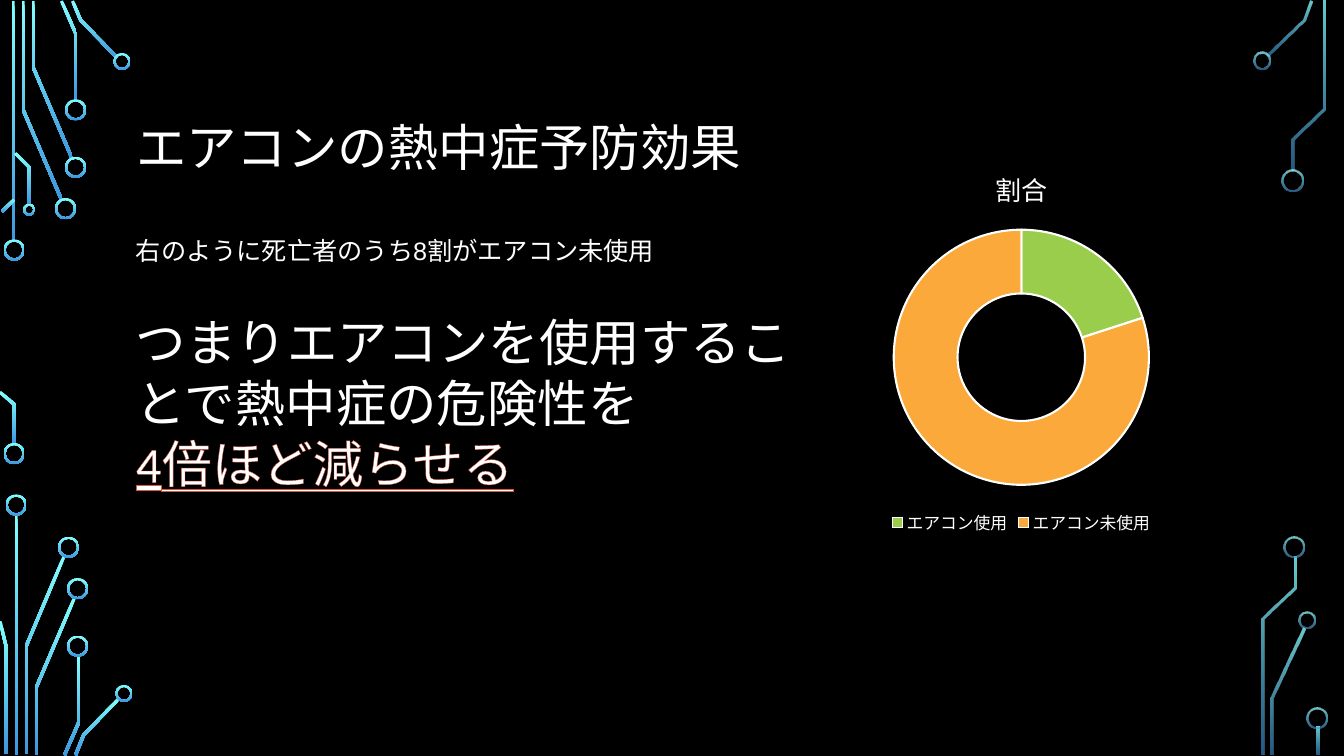
from dataclasses import dataclass
from math import hypot

from lxml import etree
from pptx import Presentation
from pptx.chart.data import CategoryChartData
from pptx.dml.color import RGBColor
from pptx.enum.chart import XL_CHART_TYPE, XL_LEGEND_POSITION
from pptx.enum.shapes import MSO_SHAPE
from pptx.enum.text import MSO_ANCHOR, PP_ALIGN
from pptx.oxml.ns import qn
from pptx.util import Inches, Pt

RECT, DONUT = MSO_SHAPE.RECTANGLE, MSO_SHAPE.DONUT
LEFT, MIDDLE, TOP = PP_ALIGN.LEFT, MSO_ANCHOR.MIDDLE, MSO_ANCHOR.TOP
RING_CHART = XL_CHART_TYPE.DOUGHNUT
BOTTOM = XL_LEGEND_POSITION.BOTTOM


@dataclass(frozen=True)
class Theme:
    back: str = "000000"
    text: str = "FFFFFF"
    glow: str = "82FFFF"
    deep: str = "3D97DE"
    edge: str = "D35940"
    slices: tuple = ("9ACD4C", "FAA93A")
    font: str = "Calibri"
    note_font: str = "Arial"
    big: float = 36
    note: float = 18
    head: float = 18.6
    key: float = 12


THEME = Theme()
TITLE = "エアコンの熱中症予防効果"
NOTE = "右のように死亡者のうち8割がエアコン未使用"
CLAIM = ["つまりエアコンを使用することで熱中症の危険性を", "4倍ほど減らせる"]
SHARE = ("割合", {"エアコン使用": 20, "エアコン未使用": 80})

TRACE, RIM = 0.03, 0.02
LEFT_WIRES = [
    [(0.13, 0.01), (0.13, 2.4)],
    [(0.23, 0.01), (0.23, 1.09), (0.61, 1.98)],
    [(0.33, 0.01), (0.33, 0.67), (0.71, 1.56)],
    [(0.61, 0.01), (0.75, 0.33), (0.75, 1)],
    [(0.72, 0.01), (0.8, 0.2), (1.16, 0.57)],
    [(0.02, 2.1), (0.14, 1.98)],
    [(0, 3.89), (0.14, 4.01), (0.14, 4.41)],
    [(0.15, 1.52), (0.29, 1.66), (0.29, 2.03)],
    [(0.16, 5.1), (0.16, 7.49)],
    [(0.64, 5.51), (0.26, 6.41), (0.26, 7.48)],
    [(0, 6.16), (0.06, 6.41), (0.06, 7.48)],
    [(0.74, 5.93), (0.36, 6.82), (0.36, 7.49)],
    [(0.78, 6.5), (0.78, 7.17), (0.64, 7.49)],
    [(1.18, 6.93), (0.83, 7.29), (0.75, 7.49)],
]
LEFT_RINGS = [
    (0.14, 2.48, 0.21), (0.14, 4.5, 0.21), (0.65, 2.07, 0.21),
    (0.75, 1.66, 0.21), (0.75, 1.09, 0.21), (1.21, 0.61, 0.17),
    (0.29, 2.08, 0.12), (0.16, 5.01, 0.21), (0.68, 5.43, 0.21),
    (0.77, 5.84, 0.21), (0.77, 6.41, 0.21), (1.23, 6.88, 0.17),
]
RIGHT_WIRES = [
    [(12.57, 0.55), (12.93, 0.2), (13, 0.01)],
    [(12.93, 6.23), (12.62, 6.93), (12.62, 7.49)],
    [(13.13, 0.01), (13.13, 1.08), (12.82, 1.38), (12.82, 1.69)],
    [(12.84, 5.52), (12.84, 5.83), (12.53, 6.14), (12.53, 7.49)],
    [(13.07, 7.21), (13.07, 7.49)],
]
RIGHT_RINGS = [
    (12.52, 0.6, 0.17), (12.82, 1.79, 0.21), (12.96, 6.15, 0.17),
    (12.83, 5.43, 0.21), (13.06, 7.12, 0.21),
]
CIRCUITS = [
    (LEFT_WIRES, LEFT_RINGS, (100, 100)),
    (RIGHT_WIRES, RIGHT_RINGS, (80, 60)),
]


def tint(text):
    return RGBColor.from_string(text)


def style(font, size, face=THEME.font):
    font.size, font.name, font.bold = Pt(size), face, False
    font.color.rgb = tint(THEME.text)


def glow(shape, alphas):
    shape.shadow.inherit = False
    shape.line.fill.background()
    shape.fill.gradient()
    shape.fill.gradient_angle = 270
    for stop, color in zip(shape.fill.gradient_stops, (THEME.glow, THEME.deep)):
        stop.color.rgb = tint(color)
    for node, alpha in zip(shape.element.iter(qn("a:srgbClr")), alphas):
        if alpha < 100:
            etree.SubElement(node, qn("a:alpha"), val=str(alpha * 1000))


def ribbon(points, width):
    normals = []
    for (x1, y1), (x2, y2) in zip(points, points[1:]):
        size = hypot(x2 - x1, y2 - y1)
        normals.append(((y1 - y2) / size, (x2 - x1) / size))
    near, far = [], []
    pairs = zip(normals[:1] + normals, normals + normals[-1:])
    for (x, y), ((ax, ay), (bx, by)) in zip(points, pairs):
        scale = width / 2 / (1 + ax * bx + ay * by)
        dx, dy = (ax + bx) * scale, (ay + by) * scale
        near.append((x + dx, y + dy))
        far.append((x - dx, y - dy))
    return near + far[::-1]


def add_wire(shapes, points):
    (x1, y1), (x2, y2) = points[0], points[-1]
    if x1 == x2 and len(points) == 2:
        box = (x1 - TRACE / 2, y1, TRACE, y2 - y1)
        return shapes.add_shape(RECT, *map(Inches, box))
    edge = [(Inches(x), Inches(y)) for x, y in ribbon(points, TRACE)]
    build = shapes.build_freeform(*edge[0])
    build.add_line_segments(edge[1:], close=True)
    return build.convert_to_shape()


def add_ring(shapes, x, y, size):
    box = (x - size / 2, y - size / 2, size, size)
    ring = shapes.add_shape(DONUT, *map(Inches, box))
    ring.adjustments[0] = RIM / size
    return ring


def add_text(shapes, box, lines, size, face):
    frame = shapes.add_textbox(*map(Inches, box)).text_frame
    frame.word_wrap = True
    frame.vertical_anchor = TOP
    frame.text = "\n".join(lines)
    for para in frame.paragraphs:
        style(para.runs[0].font, size, face)
    return frame


def add_share(shapes, box):
    name, values = SHARE
    data = CategoryChartData(number_format="0")
    data.categories = list(values)
    data.add_series(name, list(values.values()))
    chart = shapes.add_chart(RING_CHART, *map(Inches, box), data).chart
    style(chart.font, THEME.key)
    chart.has_title = True
    head = chart.chart_title.text_frame
    head.text = name
    style(head.paragraphs[0].runs[0].font, THEME.head)
    chart.has_legend = True
    chart.legend.position = BOTTOM
    chart.legend.include_in_layout = False
    style(chart.legend.font, THEME.key)
    plot = chart.plots[0]
    plot.vary_by_categories = True
    for index, color in enumerate(THEME.slices):
        form = plot.series[0].points[index].format
        form.fill.solid()
        form.fill.fore_color.rgb = tint(color)
        form.line.color.rgb = tint(THEME.text)
        form.line.width = Pt(1.5)
    for hole in chart.element.iter(qn("c:holeSize")):
        hole.set("val", "75")


def add_title(slide, box):
    title = slide.shapes.title
    title.left, title.top, title.width, title.height = map(Inches, box)
    frame = title.text_frame
    frame.text = TITLE
    frame.vertical_anchor = MIDDLE
    para = frame.paragraphs[0]
    para.alignment, para.line_spacing = LEFT, 0.9
    style(para.runs[0].font, THEME.big)
    slide.shapes.element.append(title.element)


def stress(run):
    run.font.underline = True
    line = etree.Element(qn("a:ln"), w=str(Pt(0.75)))
    fill = etree.SubElement(line, qn("a:solidFill"))
    etree.SubElement(fill, qn("a:srgbClr"), val=THEME.edge)
    run.font._element.insert(0, line)


def main():
    deck = Presentation()
    deck.slide_width, deck.slide_height = Inches(13.33), Inches(7.5)
    slide = deck.slides.add_slide(deck.slide_layouts[5])
    slide.background.fill.solid()
    slide.background.fill.fore_color.rgb = tint(THEME.back)
    shapes = slide.shapes
    for wires, rings, alphas in CIRCUITS:
        for points in wires:
            glow(add_wire(shapes, points), alphas)
        for ring in rings:
            glow(add_ring(shapes, *ring), alphas)
    add_title(slide, (1.25, 0.68, 10.83, 1.62))
    add_share(shapes, (8.18, 1.48, 3.9, 3.87))
    add_text(shapes, (1.25, 2.29, 7.18, 0.4), [NOTE], THEME.note, THEME.note_font)
    claim = add_text(shapes, (1.25, 3.04, 7, 3.13), CLAIM, THEME.big, THEME.font)
    stress(claim.paragraphs[1].runs[0])
    deck.save("out.pptx")


if __name__ == "__main__":
    main()
